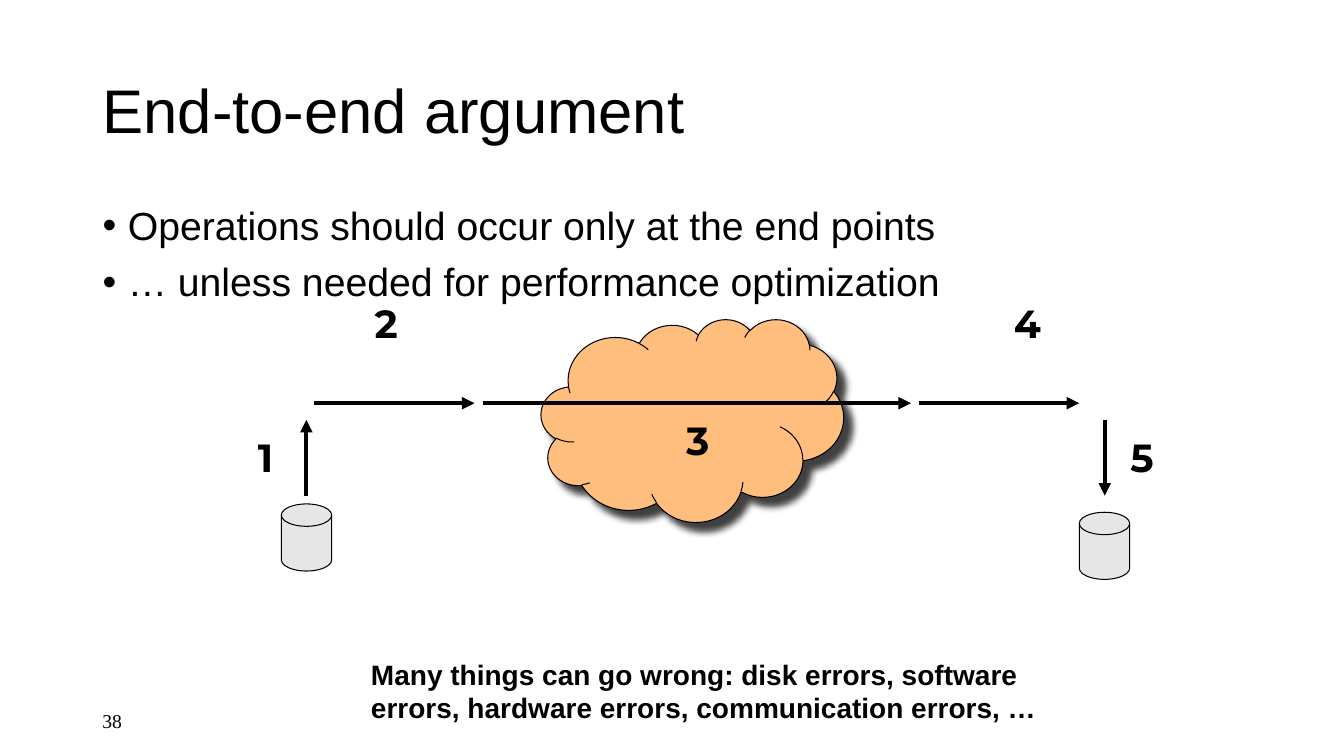
from lxml import etree
from pptx import Presentation
from pptx.dml.color import RGBColor
from pptx.enum.shapes import MSO_CONNECTOR, MSO_SHAPE
from pptx.enum.text import MSO_ANCHOR, MSO_AUTO_SIZE, PP_ALIGN
from pptx.oxml.ns import qn
from pptx.util import Cm, Pt

LINE = MSO_CONNECTOR.STRAIGHT
CLOUD = MSO_SHAPE.CLOUD
DISK = MSO_SHAPE.FLOWCHART_MAGNETIC_DISK
TOP, MID = MSO_ANCHOR.TOP, MSO_ANCHOR.MIDDLE
LEFT = PP_ALIGN.LEFT
FIXED, GROW = MSO_AUTO_SIZE.NONE, MSO_AUTO_SIZE.SHAPE_TO_FIT_TEXT
BLACK = RGBColor(0x00, 0x00, 0x00)
PEACH = RGBColor(0xFF, 0xBE, 0x7D)
GRAY = RGBColor(0xE7, 0xE6, 0xE6)

TITLE = ["End-to-end argument"]
POINTS = ["Operations should occur only at the end points",
          "… unless needed for performance optimization"]
NOTE = ["Many things can go wrong: disk errors, software errors, "
        "hardware errors, communication errors, …"]
PAGE = ["38"]

SHAPES = [
    (CLOUD, (13.64, 8.04, 7.62, 5.11), PEACH),
    (DISK, (7.09, 12.7, 1.27, 1.69), GRAY),
    (DISK, (27.2, 12.91, 1.27, 1.69), GRAY),
]
ROW, LOW, HIGH = 10.16, 12.49, 10.58
STEPS = [
    ("1", (7.72, LOW, 7.72, HIGH), (6.25, 10.79)),
    ("2", (7.92, ROW, 11.96, ROW), (9.19, 7.41)),
    ("3", (12.17, ROW, 22.96, ROW), (17.04, 10.37)),
    ("4", (23.16, ROW, 27.2, ROW), (25.3, 7.41)),
    ("5", (27.84, HIGH, 27.84, LOW), (28.24, 10.79)),
]
LABEL = (1.17, 1.45)

HEAD = {"name": "Arial", "size": Pt(44), "bold": False}
BODY = {"name": "Arial", "size": Pt(28), "bold": False}
DIGIT = {"name": "Montserrat", "size": Pt(28), "bold": True}
STRONG = {"name": "Arial", "size": Pt(20), "bold": True}
FOOT = {"name": "Times New Roman", "size": Pt(14), "bold": False}


def cms(vals):
    """Turn plain numbers into lengths."""
    return [Cm(val) for val in vals]


def put(item, vals):
    """Set each attribute of an item from a dict."""
    for key, val in vals.items():
        setattr(item, key, val)


def write(box, lines, font, frame, para):
    """Fill a box with formatted paragraphs."""
    text = box.text_frame
    text.text = "\n".join(lines)
    put(text, frame)
    for num, item in enumerate(text.paragraphs):
        put(item, para)
        item.space_before = Pt(10 if num else 0)
        put(item.font, font)
        item.font.color.rgb = BLACK


def place(box, area):
    """Move and size a placeholder."""
    put(box, dict(zip(("left", "top", "width", "height"), cms(area))))


def label(slide, area, lines, font, frame):
    """Add a text box."""
    box = slide.shapes.add_textbox(*cms(area))
    write(box, lines, font, frame, {"alignment": LEFT})


def shade(shape):
    """Give a shape a soft shadow to the lower right."""
    part = shape._element.spPr.find(qn("a:effectLst"))
    drop = etree.SubElement(part, qn("a:outerShdw"), blurRad=str(Pt(5)),
                            dist=str(Pt(8.5)), dir="2700000",
                            algn="ctr", rotWithShape="0")
    tint = etree.SubElement(drop, qn("a:srgbClr"), val=str(BLACK))
    etree.SubElement(tint, qn("a:alpha"), val="75000")


def arrow(slide, ends):
    """Add a thick line with an arrowhead."""
    line = slide.shapes.add_connector(LINE, *cms(ends))
    line.line.color.rgb = BLACK
    line.line.width = Pt(3)
    props = line._element.spPr
    etree.SubElement(props.find(qn("a:ln")), qn("a:tailEnd"), type="triangle")
    etree.SubElement(props, qn("a:effectLst"))


def main():
    """Build the slide."""
    deck = Presentation()
    put(deck, {"slide_width": Cm(33.87), "slide_height": Cm(19.05)})
    slide = deck.slides.add_slide(deck.slide_layouts[1])
    head, body = slide.placeholders
    place(head, (2.33, 1.02, 29.21, 3.68))
    place(body, (2.33, 5.08, 29.21, 12.09))
    para = {"alignment": LEFT, "line_spacing": 0.9}
    fixed = {"auto_size": FIXED, "word_wrap": True}
    write(head, TITLE, HEAD, {**fixed, "vertical_anchor": MID}, para)
    write(body, POINTS, BODY, {**fixed, "vertical_anchor": TOP}, para)
    for item in body.text_frame.paragraphs:
        props = item._p.get_or_add_pPr()
        props.set("marL", str(Cm(0.64)))
        props.set("indent", str(Cm(-0.64)))

    label(slide, (2.33, 17.65, 7.62, 1.02), PAGE, FOOT,
          {**fixed, "vertical_anchor": MID})
    for kind, area, fill in SHAPES:
        shape = slide.shapes.add_shape(kind, *cms(area))
        shape.shadow.inherit = False
        shape.fill.solid()
        shape.fill.fore_color.rgb = fill
        shape.line.color.rgb = BLACK
        shape.line.width = Pt(0.75)
        if kind == CLOUD:
            shade(shape)
    for digit, ends, spot in STEPS:
        arrow(slide, ends)
        label(slide, spot + LABEL, [digit], DIGIT,
              {"auto_size": GROW, "word_wrap": False})
    label(slide, (9.1, 16.44, 17.78, 1.96), NOTE, STRONG,
          {"auto_size": GROW, "word_wrap": True})
    deck.save("out.pptx")


if __name__ == "__main__":
    main()
